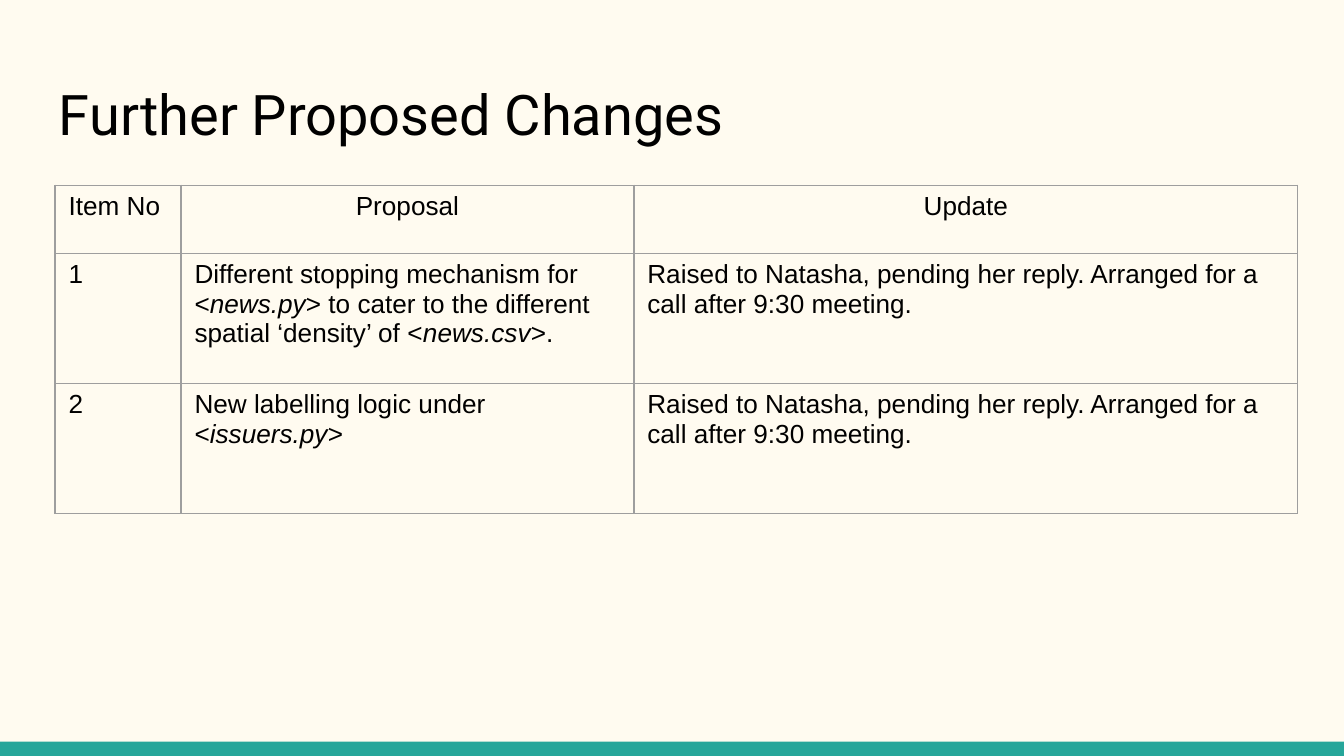
"""Build the slide that lists further proposed changes with their updates."""
import pptx
import pptx.dml.color
import pptx.enum.shapes
import pptx.enum.text
import pptx.oxml
import pptx.oxml.ns
import pptx.util

Pt = pptx.util.Pt
Align = pptx.enum.text.PP_ALIGN


def color(value):
    return pptx.dml.color.RGBColor.from_string(value)


def write(frame, text, font="Arial", size=14, ink="000000", align=Align.LEFT, inset=7.2):
    frame.word_wrap = True
    frame.margin_left = frame.margin_right = Pt(inset)
    frame.margin_top = frame.margin_bottom = Pt(inset)
    paragraph = frame.paragraphs[0]
    paragraph.alignment = align
    for index, part in enumerate(text.split("*")):
        run = paragraph.add_run()
        run.text = part
        run.font.name = font
        run.font.size = Pt(size)
        run.font.italic = index % 2 == 1
        run.font.color.rgb = color(ink)


class ProposalSlide:
    background, accent, border = "FFFBF0", "26A69A", "9E9E9E"

    def __init__(self, presentation):
        self.slide = presentation.slides.add_slide(presentation.slide_layouts[6])
        fill = self.slide.background.fill
        fill.solid()
        fill.fore_color.rgb = color(self.background)

    def bar(self, *box):
        kind = pptx.enum.shapes.MSO_SHAPE.RECTANGLE
        shape = self.slide.shapes.add_shape(kind, *map(Pt, box))
        shape.shadow.inherit = False
        shape.fill.solid()
        shape.fill.fore_color.rgb = color(self.accent)
        shape.line.fill.background()

    def title(self, text, *box):
        shape = self.slide.shapes.add_textbox(*map(Pt, box))
        write(shape.text_frame, text, font="Roboto", size=30)

    def outline(self, cell):
        properties = cell._tc.get_or_add_tcPr()
        namespace = pptx.oxml.ns.nsdecls("a")
        for side in "LRTB":
            properties.append(pptx.oxml.parse_xml(
                f'<a:ln{side} {namespace} w="{Pt(0.75)}"><a:solidFill>'
                f'<a:srgbClr val="{self.border}"/></a:solidFill></a:ln{side}>'))

    def table(self, rows, left, top, widths, heights):
        box = (left, top, sum(widths), sum(heights))
        table = self.slide.shapes.add_table(len(rows), len(widths), *map(Pt, box)).table
        table.first_row = table.horz_banding = False
        for column, width in zip(table.columns, widths):
            column.width = Pt(width)
        for row, height in zip(table.rows, heights):
            row.height = Pt(height)
        for row_index, texts in enumerate(rows):
            for column_index, text in enumerate(texts):
                cell = table.cell(row_index, column_index)
                heading = row_index == 0 and column_index > 0
                write(cell.text_frame, text, align=Align.CENTER if heading else Align.LEFT)
                self.outline(cell)
                cell.fill.background()


def main():
    presentation = pptx.Presentation()
    presentation.slide_width, presentation.slide_height = Pt(720), Pt(405)
    slide = ProposalSlide(presentation)
    slide.bar(0, 397.4, 720, 7.6)
    slide.title("Further Proposed Changes", 24.5, 35.3, 671, 48.2)
    update = "Raised to Natasha, pending her reply. Arranged for a call after 9:30 meeting."
    rows = [
        ("Item No", "Proposal", "Update"),
        ("1", "Different stopping mechanism for <*news.py*> to cater to the different "
              "spatial ‘density’ of <*news.csv*>.", update),
        ("2", "New labelling logic under <*issuers.py*>", update),
    ]
    slide.table(rows, 29.5, 99.2, (67.5, 242.6, 355.7), (36.5, 69.7, 69.7))
    presentation.save("out.pptx")


if __name__ == "__main__":
    main()
